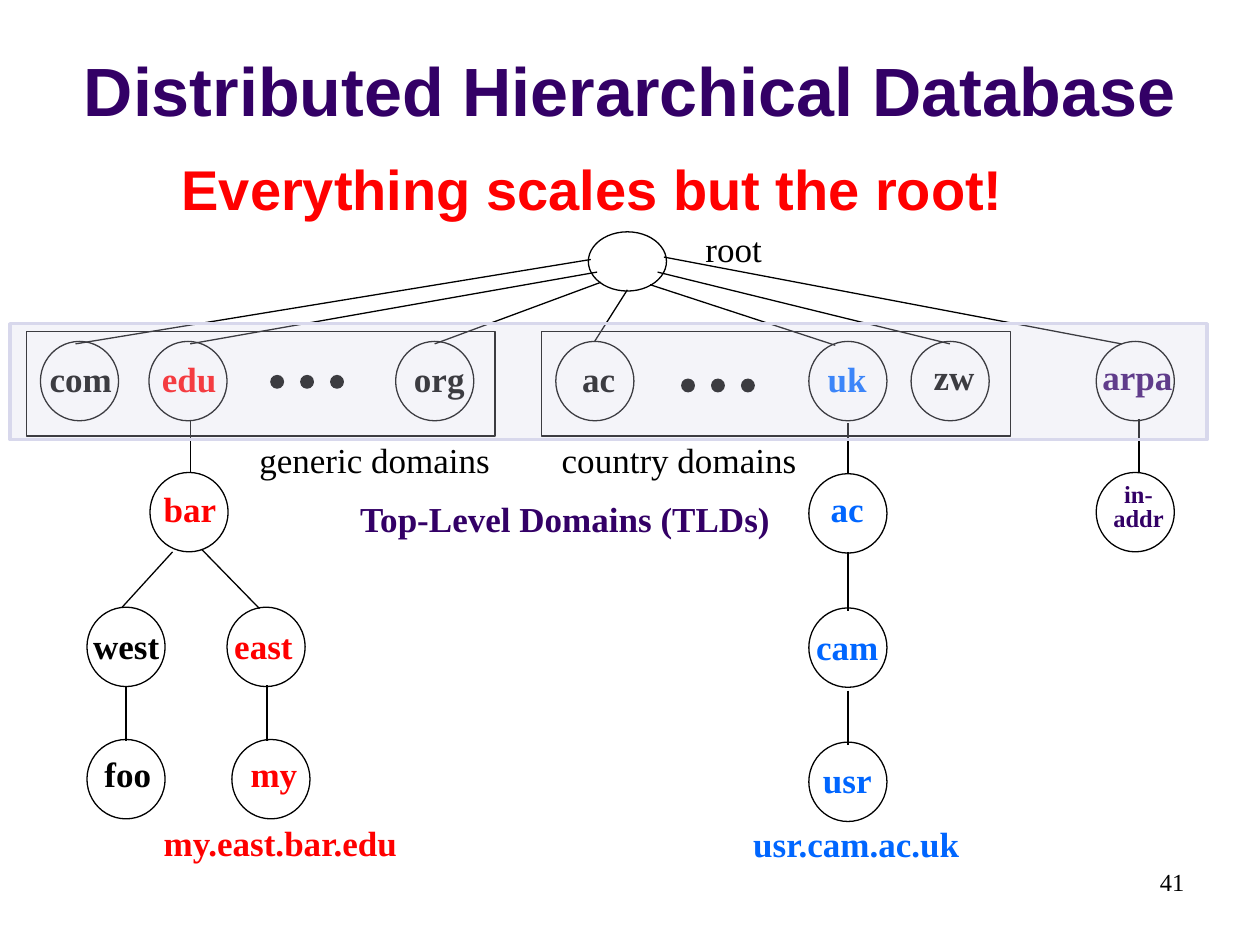
from pptx import Presentation
from pptx.dml.color import RGBColor
from pptx.enum.shapes import MSO_CONNECTOR, MSO_SHAPE
from pptx.enum.text import MSO_ANCHOR as Anchor, MSO_AUTO_SIZE as AutoSize, PP_ALIGN as Align
from pptx.oxml.ns import qn
from pptx.util import Pt
from lxml import etree

BLACK = RGBColor(0x00, 0x00, 0x00)
RED = RGBColor(0xFF, 0x00, 0x00)
BLUE = RGBColor(0x00, 0x66, 0xFF)
PURPLE = RGBColor(0x33, 0x00, 0x66)
LAVENDER = RGBColor(0xD8, 0xD8, 0xEC)
SERIF = "Times New Roman"
SANS = "Arial"
NODE_WIDTH, NODE_HEIGHT = 44.64, 45.36
LABEL_HEIGHT = 31
DOT_SIZE, DOT_STEP = 7.2, 17.1


def add_text(page, box, text, color=BLACK, size=20, bold=True, font=SERIF,
             align=Align.LEFT, anchor=Anchor.TOP, wrap=False, spacing=None):
    frame = page.shapes.add_textbox(*map(Pt, box)).text_frame
    frame.word_wrap = wrap
    frame.auto_size = AutoSize.NONE if wrap else AutoSize.SHAPE_TO_FIT_TEXT
    frame.vertical_anchor = anchor
    frame.text = text
    for para in frame.paragraphs:
        para.alignment = align
        if spacing:
            para.line_spacing = spacing
        for span in para.runs:
            span.font.name = font
            span.font.size = Pt(size)
            span.font.bold = bold
            span.font.color.rgb = color


def add_outline(shapes, kind, box, fill=None, line=BLACK, weight=0.75):
    shape = shapes.add_shape(kind, *map(Pt, box))
    shape.shadow.inherit = False
    if fill is None:
        shape.fill.background()
    else:
        shape.fill.solid()
        shape.fill.fore_color.rgb = fill
    shape.line.color.rgb = line
    shape.line.width = Pt(weight)
    return shape


def add_link(page, left, top, ends):
    x1, y1, x2, y2 = ends
    link = page.shapes.add_connector(
        MSO_CONNECTOR.STRAIGHT, Pt(left + x1), Pt(top + y1), Pt(left + x2), Pt(top + y2))
    link.line.color.rgb = BLACK
    link.line.width = Pt(0.75)
    etree.SubElement(link.element.spPr, qn("a:effectLst"))


def add_node(page, left, top, label, label_box, color, **style):
    add_outline(page.shapes, MSO_SHAPE.OVAL, (left, top, NODE_WIDTH, NODE_HEIGHT))
    dx, dy, width = label_box
    add_text(page, (left + dx, top + dy, width, LABEL_HEIGHT), label, color, **style)


def add_domain_group(page, box, nodes, dots, caption, caption_box):
    left, top = box[:2]
    for x, label, label_box, color in nodes:
        add_node(page, left + x, top + 5.7, label, label_box, color)
    group = page.shapes.add_group_shape()
    for index in range(3):
        x = left + dots[0] + index * DOT_STEP
        add_outline(group.shapes, MSO_SHAPE.OVAL,
                    (x, top + dots[1], DOT_SIZE, DOT_SIZE), fill=BLACK)
    add_outline(page.shapes, MSO_SHAPE.RECTANGLE, box)
    dx, width = caption_box
    add_text(page, (left + dx, top + 57.6, width, LABEL_HEIGHT), caption, bold=False)


def add_root(page, left, top):
    add_outline(page.shapes, MSO_SHAPE.OVAL, (left, top, NODE_WIDTH, 33.84))
    add_text(page, (left + 59.8, top - 5.8, 46.8, 31.7), "root", bold=False)
    for ends in ((1.4, 15.8, -293, 64), (5, 23, -227.5, 64), (7.2, 28.8, -87.8, 64),
                 (22.3, 33.1, 3.6, 62.6), (43.2, 14.4, 304.6, 64),
                 (39.6, 23, 206.6, 64), (35.3, 30.2, 141.1, 64.8)):
        add_link(page, left, top, ends)


def add_branch(page, left, top, nodes, links, name, name_box, color):
    for x, y, label, label_box, node_color in nodes:
        add_node(page, left + x, top + y, label, label_box, node_color)
    for ends in links:
        add_link(page, left, top, ends)
    dx, dy, width = name_box
    add_text(page, (left + dx, top + dy, width, LABEL_HEIGHT), name, color)


def add_arpa_branch(page, left, top):
    add_node(page, left, top, "arpa", (-3.6, 4.3, 55), PURPLE)
    add_node(page, left, top + 74.9, "in-\naddr", (2.2, 3.6, 44), PURPLE,
             size=14, align=Align.CENTER, spacing=0.8)
    add_link(page, left, top, (24.5, 44.6, 24.5, 74.9))


def add_top_level_band(page, box):
    band = add_outline(page.shapes, MSO_SHAPE.RECTANGLE, box, LAVENDER, LAVENDER, 2)
    tint = band.fill._xPr.find(qn("a:solidFill"))[0]
    etree.SubElement(tint, qn("a:alpha"), val="28000")
    left, top = box[:2]
    add_text(page, (left + 192.2, top + 95.8, 249.8, LABEL_HEIGHT),
             "Top-Level Domains (TLDs)", PURPLE, align=Align.CENTER, anchor=Anchor.MIDDLE)


def main():
    deck = Presentation()
    deck.slide_width, deck.slide_height = Pt(720), Pt(540)
    page = deck.slides.add_slide(deck.slide_layouts[6])

    add_text(page, (0, 9.4, 720, 68.4), "Distributed Hierarchical Database", PURPLE, 39,
             font=SANS, align=Align.CENTER, anchor=Anchor.BOTTOM, wrap=True)
    add_text(page, (516.2, 491.8, 167.8, 36), "41", size=14, bold=False,
             align=Align.RIGHT, wrap=True)

    add_domain_group(page, (15.1, 189.4, 267.8, 59.8), (
        (8, "com", (-1.8, 5.8, 52), BLACK),
        (70, "edu", (0.4, 5.8, 47), RED),
        (211, "org", (3.4, 5.8, 45), BLACK),
    ), (139.7, 25.2), "generic domains", (126, 147))
    add_domain_group(page, (309.6, 189.4, 267.8, 59.8), (
        (8, "ac", (7.9, 5.8, 35), BLACK),
        (152.6, "uk", (3.6, 5.8, 38), BLUE),
        (211, "zw", (5.8, 4.3, 39), BLACK),
    ), (80, 27.3), "country domains", (4.3, 149))
    add_root(page, 336.2, 132.5)

    add_branch(page, 49.7, 270, (
        (36, 0, "bar", (0.7, 5, 46), RED),
        (0, 77, "west", (-3.6, 6.5, 54), BLACK),
        (80, 77, "east", (-2.9, 6.5, 50), RED),
        (0, 152.6, "foo", (2.9, 3.6, 42), BLACK),
        (82.8, 152.6, "my", (3.6, 3.6, 42), RED),
    ), (
        (59, -29.5, 59, 0), (48.9, 45.4, 20.1, 77), (65.5, 43.9, 98.6, 77.8),
        (22.3, 122.4, 22.3, 153.4), (102.9, 121.7, 102.9, 153.4),
    ), "my.east.bar.edu", (36.7, 195.8, 151), RED)
    add_branch(page, 462.2, 270.7, (
        (0, 0, "ac", (5.4, 4.3, 35), BLUE),
        (0, 76.7, "cam", (-2.9, 6.5, 52), BLUE),
        (0, 153.4, "usr", (1, 5.8, 44), BLUE),
    ), (
        (22.3, -28.8, 22.3, 0), (22.3, 44.6, 22.3, 78.5), (22.3, 123.9, 22.3, 154.8),
    ), "usr.cam.ac.uk", (-38.9, 195.8, 135), BLUE)
    add_arpa_branch(page, 626.4, 195.1)
    add_top_level_band(page, (5.8, 185, 684, 66.2))

    add_text(page, (42.5, 85, 592.6, 46.1), "Everything scales but the root!", RED, 32,
             font=SANS, align=Align.CENTER, wrap=True)
    deck.save("out.pptx")


if __name__ == "__main__":
    main()
